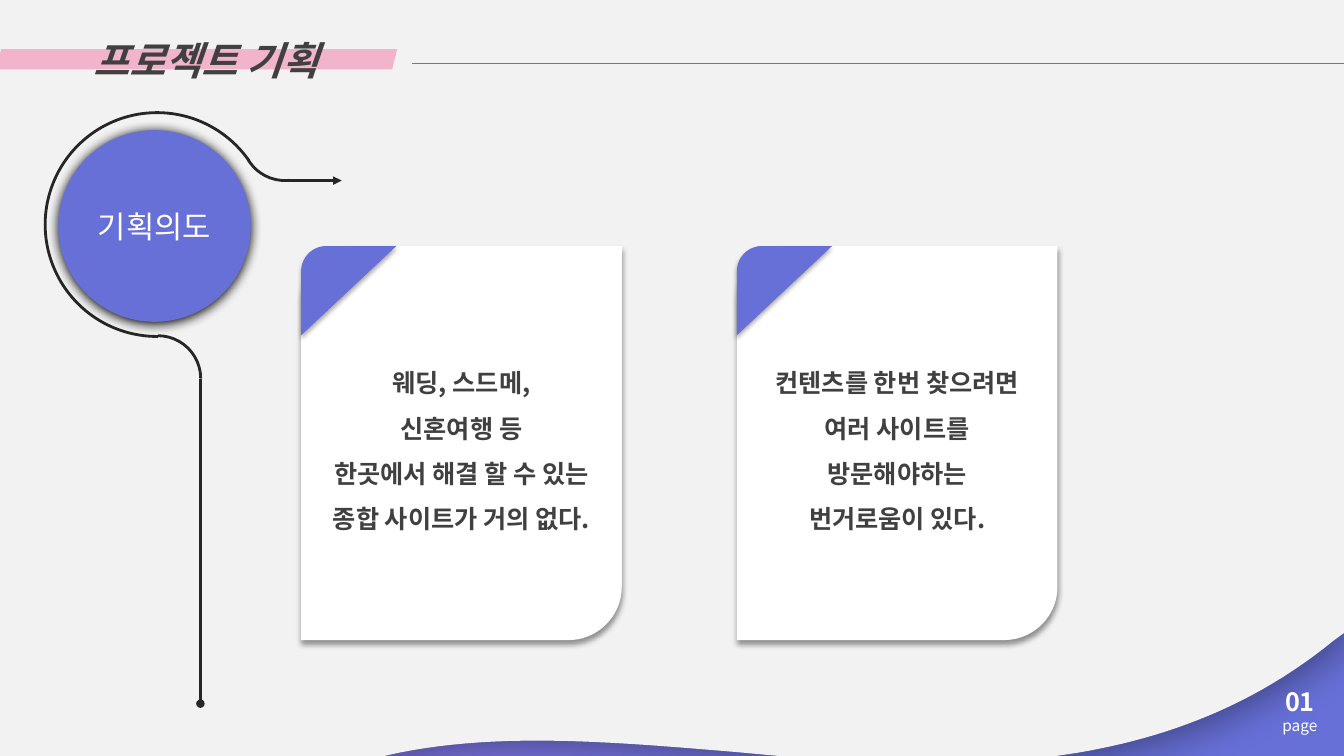
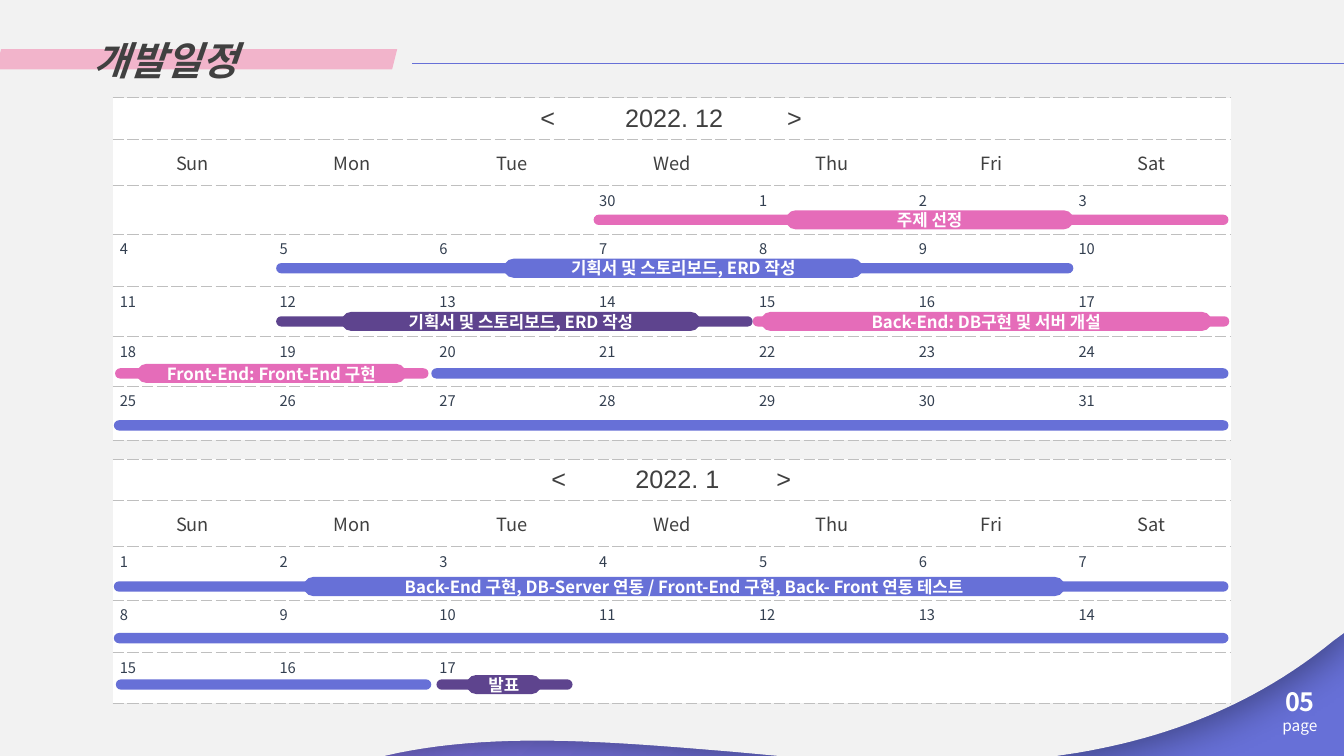
from dataclasses import dataclass
from itertools import chain
from typing import Iterable, Optional

from lxml import etree
from pptx import Presentation
from pptx.dml.color import RGBColor
from pptx.enum.shapes import MSO_CONNECTOR, MSO_SHAPE
from pptx.enum.text import MSO_ANCHOR, PP_ALIGN
from pptx.oxml.ns import qn
from pptx.util import Cm, Pt

BLUE = RGBColor(0x67, 0x70, 0xD7)
VIOLET = RGBColor(0x9E, 0x78, 0xEF)
PURPLE = RGBColor(0x5E, 0x44, 0x8E)
PINK = RGBColor(0xE5, 0x6C, 0xB9)
TITLE_PINK = RGBColor(0xF3, 0x84, 0xAE)
WHITE = RGBColor(0xFF, 0xFF, 0xFF)
PAPER = RGBColor(0xF2, 0xF2, 0xF2)
TEXT = RGBColor(0x40, 0x40, 0x40)
NAVY = RGBColor(0x33, 0x3F, 0x50)
INK = RGBColor(0x26, 0x26, 0x26)
RULE = RGBColor(0xBF, 0xBF, 0xBF)

FONT = "Noto Sans CJK KR"
CENTER, LEFT = PP_ALIGN.CENTER, PP_ALIGN.LEFT
MIDDLE, TOP = MSO_ANCHOR.MIDDLE, MSO_ANCHOR.TOP
ARC, OVAL = MSO_SHAPE.ARC, MSO_SHAPE.OVAL
PILL, CARD = MSO_SHAPE.ROUNDED_RECTANGLE, MSO_SHAPE.ROUND_2_DIAG_RECTANGLE
BAND = MSO_SHAPE.PARALLELOGRAM
STRAIGHT = MSO_CONNECTOR.STRAIGHT
NO_GRID_STYLE = "{2D5ABB26-0587-4C30-8999-92F81FD0307C}"
WEEKDAYS = ("Sun", "Mon", "Tue", "Wed", "Thu", "Fri", "Sat")

# Outlines in cm: one point is a line, three points are a Bezier curve.
PAPER_OUTLINE = (
    ((0, 0),), ((33.87, 0),), ((33.87, 15.95),), ((33.6, 16.15),),
    ((31.6, 17.78), (29.41, 18.59), (27.15, 18.97)),
    ((26.62, 19.05),), ((19.63, 19.05),), ((18.54, 18.95),),
    ((15.39, 18.69), (12.37, 18.42), (9.68, 19.05)), ((0, 19.05),),
)
CORNER_OUTLINE = (
    ((0.65, 0),), ((2.4, 0),), ((0, 2.25),), ((0, 0.65),),
    ((0, 0.28), (0.28, 0), (0.65, 0)),
)


@dataclass(frozen=True)
class Shadow:
    alpha: int
    blur: float
    dist: float
    angle: int = 90


@dataclass(frozen=True)
class Arc:
    left: float
    top: float
    size: float
    start: float
    end: float
    rotation: float = 0


@dataclass(frozen=True)
class Card:
    left: float
    lines: tuple[str, ...]


@dataclass(frozen=True)
class Calendar:
    top: float
    month: str
    tabs: tuple[float, float, float]
    rows: tuple[float, ...]
    days: tuple


@dataclass(frozen=True)
class Task:
    middle: float
    left: float
    width: float
    color: RGBColor
    label: str = ""
    label_left: float = 0
    label_width: float = 0


ARCS = (
    Arc(2.9, 8.46, 2.16, 162, 0),
    Arc(1.14, 2.84, 5.64, 53.65, 195.22),
    Arc(6.1, 2.39, 2.16, 173.8, 212.39, 155.2),
)
CARDS = (
    Card(7.59, ("웨딩, 스드메,", "신혼여행 등", "한곳에서 해결 할 수 있는",
                "종합 사이트가 거의 없다.")),
    Card(18.57, ("컨텐츠를 한번 찾으려면", "여러 사이트를", "방문해야하는",
                 "번거로움이 있다.")),
)
CALENDARS = (
    Calendar(2.46, "2022. 12", (10.78, 13.97, 17),
             (1.04, 1.17, 1.22, 1.32, 1.27, 1.24, 1.37),
             tuple(chain(("", "", "", 30), range(1, 32)))),
    Calendar(11.56, "2022. 1", (11.06, 14.05, 16.73),
             (1.04, 1.17, 1.35, 1.32, 1.27), tuple(range(1, 18))),
)
TASKS = (
    Task(5.54, 14.96, 16, PINK, "주제 선정", 19.81, 7.24),
    Task(6.76, 6.96, 20.09, BLUE, "기획서 및 스토리보드, ERD 작성", 12.7, 9.04),
    Task(8.1, 6.96, 12.01, PURPLE, "기획서 및 스토리보드, ERD 작성", 8.61, 9.04),
    Task(8.1, 18.97, 12.01, PINK, "Back-End: DB구현 및 서버 개설", 19.18, 11.35),
    Task(9.41, 2.9, 7.9, PINK, "Front-End: Front-End 구현", 3.45, 6.78),
    Task(9.41, 10.87, 20.09, BLUE),
    Task(10.72, 2.87, 28.09, BLUE),
    Task(14.78, 2.87, 28.09, BLUE,
         "Back-End 구현, DB-Server 연동 / Front-End 구현, Back- Front 연동 테스트",
         7.65, 19.18),
    Task(16.08, 2.87, 28.09, BLUE),
    Task(17.25, 2.92, 7.95, BLUE),
    Task(17.25, 11, 3.43, PURPLE, "발표", 11.76, 1.88),
)


def child(parent, tag: str, **attrs):
    return etree.SubElement(parent, qn(tag), {k: str(v) for k, v in attrs.items()})


def write(p, text: str, *, size: float, color: RGBColor = TEXT, font: str = FONT,
          bold: bool = False, italic: bool = False, align=CENTER,
          spacing: Optional[float] = None) -> None:
    p.alignment = align
    if spacing:
        p.line_spacing = spacing
    r = p.add_run()
    r.text = text
    r.font.size, r.font.bold, r.font.italic = Pt(size), bold, italic
    r.font.color.rgb = color
    r.font.name = font
    child(r.font._element, "a:ea", typeface=font)


def write_lines(tf, lines: Iterable[str], **style) -> None:
    for i, line in enumerate(lines):
        write(tf.add_paragraph() if i else tf.paragraphs[0], line, **style)


def set_look(sp, fill: RGBColor, shadow: Optional[Shadow] = None) -> None:
    sp.fill.solid()
    sp.fill.fore_color.rgb = fill
    sp.line.fill.background()
    sp.shadow.inherit = False
    if shadow:
        effects = sp._element.spPr.find(qn("a:effectLst"))
        outer = child(effects, "a:outerShdw", blurRad=Pt(shadow.blur),
                      dist=Pt(shadow.dist), dir=shadow.angle * 60000,
                      algn="ctr", rotWithShape=0)
        color = child(outer, "a:srgbClr", val="000000")
        child(color, "a:alpha", val=shadow.alpha * 1000)


def add_shape(s, kind, left: float, top: float, width: float, height: float,
              fill: RGBColor, shadow: Optional[Shadow] = None):
    sp = s.shapes.add_shape(kind, Cm(left), Cm(top), Cm(width), Cm(height))
    set_look(sp, fill, shadow)
    tf = sp.text_frame
    tf.word_wrap, tf.vertical_anchor = True, MIDDLE
    return sp


def add_outline(s, segments, left: float, top: float, fill: RGBColor,
                shadow: Shadow, steps: int = 24) -> None:
    """Draw a closed outline, following each curve in short steps."""
    points = []
    for segment in segments:
        if len(segment) == 1:
            points.append(segment[0])
            continue
        curve = (points[-1], *segment)
        for i in range(1, steps + 1):
            t = i / steps
            weights = ((1 - t) ** 3, 3 * t * (1 - t) ** 2, 3 * t * t * (1 - t), t ** 3)
            points.append(tuple(sum(w * c[axis] for w, c in zip(weights, curve))
                                for axis in (0, 1)))
    emu = [(Cm(left + x), Cm(top + y)) for x, y in points]
    builder = s.shapes.build_freeform(*emu[0])
    builder.add_line_segments(emu[1:], close=True)
    set_look(builder.convert_to_shape(), fill, shadow)


def add_line(s, x1: float, y1: float, x2: float, y2: float, color: RGBColor,
             width: float, **ends: str) -> None:
    line = s.shapes.add_connector(STRAIGHT, Cm(x1), Cm(y1), Cm(x2), Cm(y2))
    line.line.color.rgb = color
    line.line.width = Pt(width)
    for end, kind in ends.items():
        child(line.line._ln, f"a:{end}", type=kind)
    child(line._element.spPr, "a:effectLst")


def add_base(prs, title: str, number: str):
    """Add a slide with the shared background, title band and page number."""
    s = prs.slides.add_slide(prs.slide_layouts[6])
    fill = s.background.fill
    fill.gradient()
    for stop, color, position in zip(fill.gradient_stops, (VIOLET, BLUE), (0.16, 0.82)):
        stop.color.rgb, stop.position = color, position
    grad = s.background._cSld.find(".//" + qn("a:gradFill"))
    grad.remove(grad.find(qn("a:lin")))
    child(child(grad, "a:path", path="circle"), "a:fillToRect", r=100000, b=100000)

    add_outline(s, PAPER_OUTLINE, 0, 0, PAPER, Shadow(40, 30, 6, 45))
    tf = s.shapes.add_textbox(Cm(31.67), Cm(17.17), Cm(2.18), Cm(1.55)).text_frame
    tf.word_wrap = True
    write(tf.paragraphs[0], number, size=18, color=WHITE, bold=True)
    write(tf.add_paragraph(), "page", size=11, color=WHITE)
    add_line(s, 10.39, 1.6, 33.87, 1.6, BLUE, 1)
    band = add_shape(s, BAND, -0.1, 1.24, 10.11, 0.51, TITLE_PINK)
    color = band._element.spPr.find(qn("a:solidFill"))[0]
    child(color, "a:alpha", val=56000)
    tf = s.shapes.add_textbox(Cm(2.11), Cm(0.79), Cm(6.86), Cm(1.45)).text_frame
    tf.word_wrap = False
    write(tf.paragraphs[0], title, size=28, bold=True, italic=True, align=LEFT)
    return s


def add_intent(s) -> None:
    for arc in ARCS:
        sp = s.shapes.add_shape(ARC, Cm(arc.left), Cm(arc.top), Cm(arc.size), Cm(arc.size))
        sp.adjustments[0], sp.adjustments[1] = arc.start, arc.end
        sp.rotation = arc.rotation
        sp.fill.background()
        sp.line.color.rgb, sp.line.width = INK, Pt(2)
        sp.shadow.inherit = False
    add_line(s, 5.05, 17.73, 5.05, 9.55, INK, 2, headEnd="oval")
    add_line(s, 7.14, 4.55, 8.61, 4.55, INK, 2, tailEnd="triangle")
    circle = add_shape(s, OVAL, 1.47, 3.28, 4.85, 4.83, BLUE, Shadow(100, 8.5, 1))
    write_lines(circle.text_frame, ("기획의도",), size=22, color=WHITE)


def add_card(s, card: Card) -> None:
    top = 6.2
    sp = add_shape(s, CARD, card.left, top, 8.08, 9.93, WHITE, Shadow(40, 4, 3))
    write_lines(sp.text_frame, card.lines, size=18, bold=True, spacing=1.5)
    add_outline(s, CORNER_OUTLINE, card.left, top, BLUE, Shadow(32, 3.5, 2.2))


def format_cell(cell, anchor) -> None:
    cell.margin_left = cell.margin_right = Cm(0.18)
    cell.margin_top = cell.margin_bottom = Cm(0.1)
    cell.vertical_anchor = anchor
    tcPr = cell._tc.get_or_add_tcPr()
    for side in ("a:lnT", "a:lnB"):
        ln = child(tcPr, side, w=Pt(0.25))
        child(child(ln, "a:solidFill"), "a:srgbClr", val=RULE)
        child(ln, "a:prstDash", val="sysDash")
    cell.fill.solid()
    cell.fill.fore_color.rgb = WHITE


def add_calendar(s, calendar: Calendar) -> None:
    days = len(WEEKDAYS)
    frame = s.shapes.add_table(len(calendar.rows), days, Cm(2.84), Cm(calendar.top),
                               Cm(28.19), Cm(sum(calendar.rows)))
    table = frame.table
    table.first_row = table.horz_banding = False
    frame._element.find(".//" + qn("a:tableStyleId")).text = NO_GRID_STYLE
    for row, height in zip(table.rows, calendar.rows):
        row.height = Cm(height)
    for i, cell in enumerate(table.iter_cells()):
        format_cell(cell, MIDDLE if i < 2 * days else TOP)

    heading = table.cell(0, 0)
    heading.merge(table.cell(0, days - 1))
    p = heading.text_frame.paragraphs[0]
    stops = child(p._p.get_or_add_pPr(), "a:tabLst")
    for position in calendar.tabs:
        child(stops, "a:tab", pos=Cm(position), algn="ctr")
    write(p, f"\t<\t{calendar.month}\t>", size=18, font="Arial", align=LEFT)
    for column, name in enumerate(WEEKDAYS):
        write_lines(table.cell(1, column).text_frame, (name,), size=13)
    for i, day in enumerate(calendar.days):
        if day:
            cell = table.cell(2 + i // days, i % days)
            write_lines(cell.text_frame, (str(day),), size=10.5, color=NAVY, align=LEFT)


def add_pill(s, left: float, middle: float, width: float, height: float, color: RGBColor):
    sp = add_shape(s, PILL, left, middle - height / 2, width, height, color)
    sp.adjustments[0] = 0.5
    return sp


def add_task(s, task: Task) -> None:
    add_pill(s, task.left, task.middle, task.width, 0.26, task.color)
    if task.label:
        sp = add_pill(s, task.label_left, task.middle, task.label_width, 0.48, task.color)
        write_lines(sp.text_frame, (task.label,), size=12, color=WHITE, bold=True)


def main() -> None:
    prs = Presentation()
    prs.slide_width, prs.slide_height = Cm(33.87), Cm(19.05)
    s = add_base(prs, "프로젝트 기획", "01")
    add_intent(s)
    for card in CARDS:
        add_card(s, card)
    s = add_base(prs, "개발일정", "05")
    for calendar in CALENDARS:
        add_calendar(s, calendar)
    for task in TASKS:
        add_task(s, task)
    prs.save("out.pptx")


if __name__ == "__main__":
    main()
